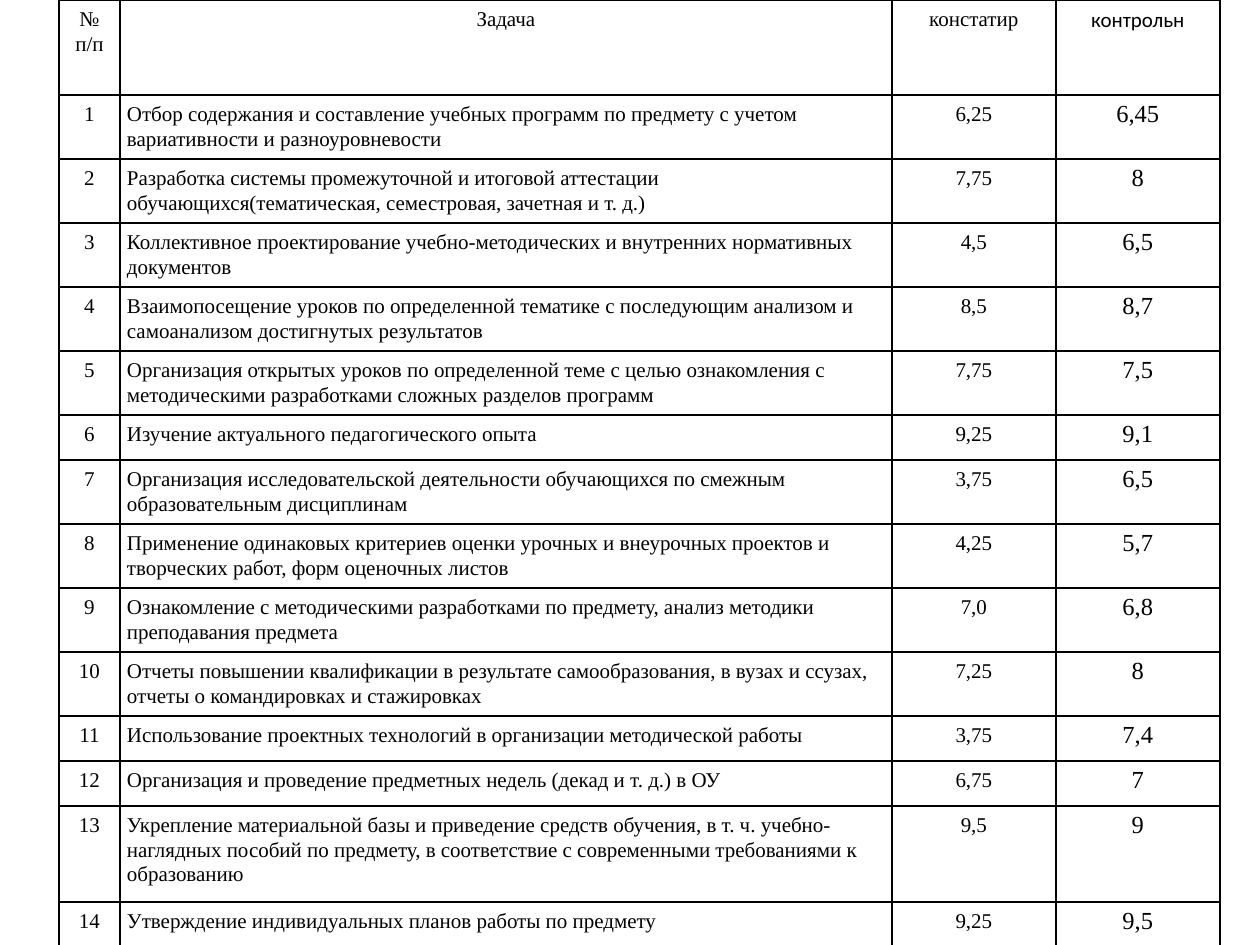
import pptx
import pptx.util
import pptx.dml.color
import pptx.enum.text
import pptx.oxml
import pptx.oxml.ns
from lxml import etree

PIXEL = pptx.util.Inches(1) // 126
BLACK = pptx.dml.color.RGBColor(0, 0, 0)
SERIF = "Times New Roman"
SANS = "Calibri"
BORDER_WIDTH = pptx.util.Pt(0.96)
LINE_SPACING = 1.07

COLUMN_WIDTHS = (61, 772, 164, 164)
HEADER_HEIGHT = 95
LINE_COUNT_HEIGHTS = {1: 45, 2: 64, 3: 96}
HEADERS = ("№ п/п", "Задача", "констатир", "контрольн")
TASKS = (
    (2, "Отбор содержания и составление учебных программ по предмету с учетом вариативности и разноуровневости", "6,25", "6,45"),
    (2, "Разработка системы промежуточной и итоговой аттестации обучающихся(тематическая, семестровая, зачетная и т. д.)", "7,75", "8"),
    (2, "Коллективное проектирование учебно-методических и внутренних нормативных документов", "4,5", "6,5"),
    (2, "Взаимопосещение уроков по определенной тематике с последующим анализом и самоанализом достигнутых результатов", "8,5", "8,7"),
    (2, "Организация открытых уроков по определенной теме с целью ознакомления с методическими разработками сложных разделов программ", "7,75", "7,5"),
    (1, "Изучение актуального педагогического опыта", "9,25", "9,1"),
    (2, "Организация исследовательской деятельности обучающихся по смежным образовательным дисциплинам", "3,75", "6,5"),
    (2, "Применение одинаковых критериев оценки урочных и внеурочных проектов и творческих работ, форм оценочных листов", "4,25", "5,7"),
    (2, "Ознакомление с методическими разработками по предмету, анализ методики преподавания предмета", "7,0", "6,8"),
    (2, "Отчеты повышении квалификации в результате самообразования, в вузах и ссузах, отчеты о командировках и стажировках", "7,25", "8"),
    (1, "Использование проектных технологий в организации методической работы", "3,75", "7,4"),
    (1, "Организация и проведение предметных недель (декад и т. д.) в ОУ", "6,75", "7"),
    (3, "Укрепление материальной базы и приведение средств обучения, в т. ч. учебно-наглядных пособий по предмету, в соответствие с современными требованиями к образованию", "9,5", "9"),
    (1, "Утверждение индивидуальных планов работы по предмету", "9,25", "9,5"),
)


def px(length):
    return length * PIXEL


def set_borders(cell):
    properties = cell._tc.get_or_add_tcPr()
    for position, side in enumerate(("lnL", "lnR", "lnT", "lnB")):
        line = etree.Element(pptx.oxml.ns.qn(f"a:{side}"), w=str(BORDER_WIDTH))
        fill = etree.SubElement(line, pptx.oxml.ns.qn("a:solidFill"))
        etree.SubElement(fill, pptx.oxml.ns.qn("a:srgbClr"), val=str(BLACK))
        properties.insert(position, line)


def fill_cell(cell, text, centred=True, size=12, font=SERIF, side_margin=7, line_spacing=LINE_SPACING):
    cell.text_frame.text = text
    cell.margin_left = cell.margin_right = px(side_margin)
    cell.margin_top = cell.margin_bottom = px(6)
    cell.fill.background()
    set_borders(cell)
    paragraph = cell.text_frame.paragraphs[0]
    alignment = pptx.enum.text.PP_ALIGN
    paragraph.alignment = alignment.CENTER if centred else alignment.LEFT
    paragraph.line_spacing = line_spacing
    run_font = paragraph.runs[0].font
    run_font.name = font
    run_font.size = pptx.util.Pt(size)
    run_font.color.rgb = BLACK


def add_task_table(slide):
    heights = [HEADER_HEIGHT] + [LINE_COUNT_HEIGHTS[task[0]] for task in TASKS]
    frame = slide.shapes.add_table(
        len(heights), len(COLUMN_WIDTHS), px(59), 0, px(sum(COLUMN_WIDTHS)), px(sum(heights))
    )
    table = frame.table
    table.first_row = False
    table.horz_banding = False
    for column, width in zip(table.columns, COLUMN_WIDTHS):
        column.width = px(width)
    for row, height in zip(table.rows, heights):
        row.height = px(height)
    return table


def fill_header(table):
    for column, text in enumerate(HEADERS):
        fill_cell(table.cell(0, column), text, font=SANS if column == 3 else SERIF)


def fill_tasks(table):
    for number, (_, task, initial_score, control_score) in enumerate(TASKS, start=1):
        fill_cell(table.cell(number, 0), str(number))
        fill_cell(table.cell(number, 1), task, centred=False)
        fill_cell(table.cell(number, 2), initial_score)
        fill_cell(table.cell(number, 3), control_score, size=14, side_margin=13, line_spacing=1.0)


def main():
    presentation = pptx.Presentation()
    presentation.slide_width = px(1260)
    presentation.slide_height = px(945)
    slide = presentation.slides.add_slide(presentation.slide_layouts[6])
    table = add_task_table(slide)
    fill_header(table)
    fill_tasks(table)
    presentation.save("out.pptx")


if __name__ == "__main__":
    main()
